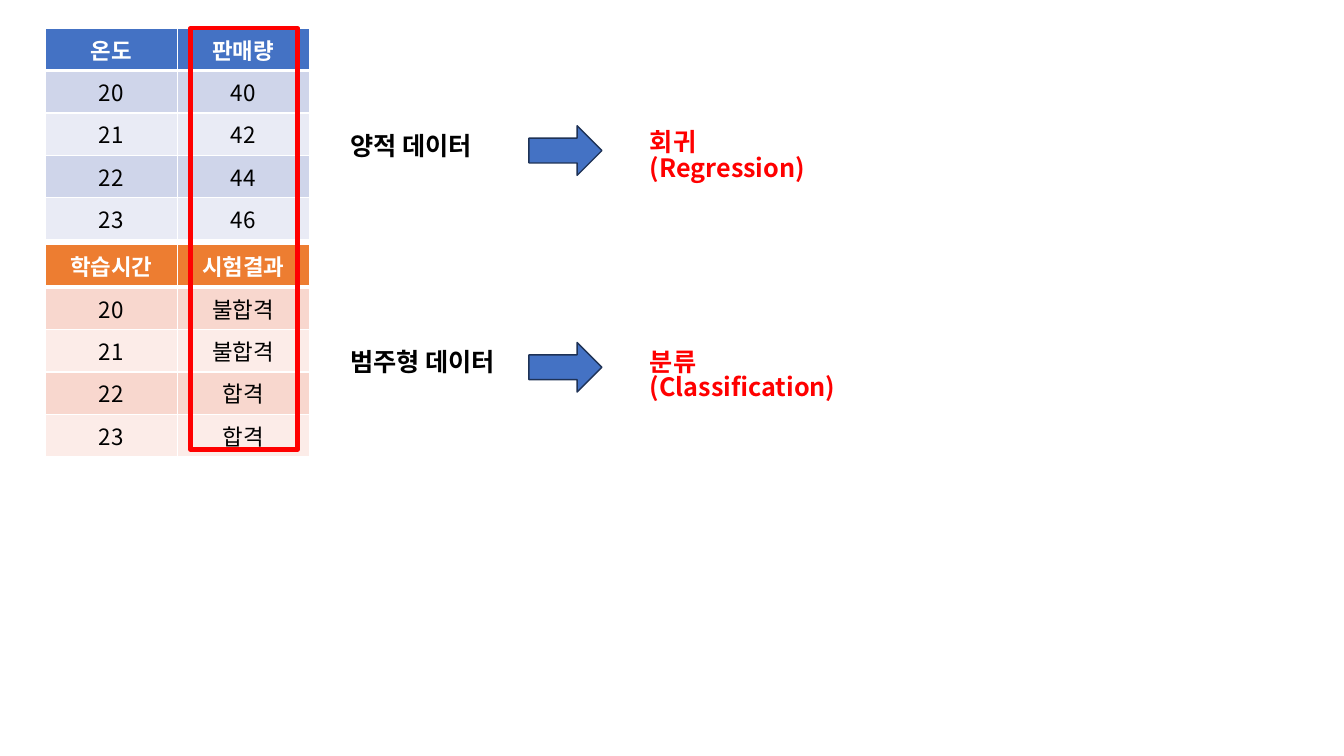
from pptx import Presentation
from pptx.dml.color import RGBColor
from pptx.enum.shapes import MSO_SHAPE as Shape
from pptx.enum.text import PP_ALIGN as Align
from pptx.oxml import parse_xml
from pptx.oxml.ns import nsdecls
from pptx.util import Cm, Pt

FONT = "Noto Sans CJK KR"
BLUE, RED, WHITE, BLACK = "4472C4", "FF0000", "FFFFFF", "000000"
HEAD = {"size": Pt(16), "name": FONT, "bold": True}
BODY = {**HEAD, "bold": False}
LABEL = {**HEAD, "size": Pt(18)}
GROUPS = [
    {"top": 0.71, "rows": [("온도", "판매량"), (20, 40), (21, 42), (22, 44), (23, 46)],
     "fills": (BLUE, "CFD5EA", "E9EBF5"), "kind": "양적 데이터", "kind_y": 3.28,
     "arrow_y": 3.17, "task": "회귀\v(Regression)", "task_y": 3.2},
    {"top": 6.17, "rows": [("학습시간", "시험결과"), (20, "불합격"), (21, "불합격"),
                           (22, "합격"), (23, "합격")],
     "fills": ("ED7D31", "F8D7CE", "FCECE8"), "kind": "범주형 데이터", "kind_y": 8.74,
     "arrow_y": 8.63, "task": "분류\v(Classification)", "task_y": 8.74},
]


def tint(hue):
    """Turn a hex string into a colour."""
    return RGBColor.from_string(hue)


def style(run, form, hue):
    """Apply font values and a colour to a run."""
    for key, val in form.items():
        setattr(run.font, key, val)
    run.font.color.rgb = tint(hue)
    props = run._r.get_or_add_rPr()
    props.append(parse_xml(f'<a:ea {nsdecls("a")} typeface="{FONT}"/>'))


def edge(cell, base):
    """Draw white borders with the given bottom width."""
    props = cell._tc.get_or_add_tcPr()
    for spot, (side, width) in enumerate((("L", 1), ("R", 1), ("T", 1), ("B", base))):
        props.insert(spot, parse_xml(
            f'<a:ln{side} {nsdecls("a")} w="{Pt(width)}"><a:solidFill>'
            f'<a:srgbClr val="{WHITE}"/></a:solidFill></a:ln{side}>'))


def grid(slide, box, rows, fills):
    """Place a two-column table with a header and banded rows."""
    table = slide.shapes.add_table(len(rows), len(rows[0]), *map(Cm, box)).table
    for y, row in enumerate(rows):
        for x, word in enumerate(row):
            cell = table.cell(y, x)
            cell.fill.solid()
            cell.fill.fore_color.rgb = tint(fills[0] if y == 0 else fills[2 - y % 2])
            edge(cell, 1 if y else 3)
            para = cell.text_frame.paragraphs[0]
            para.alignment = Align.CENTER
            run = para.add_run()
            run.text = str(word)
            style(run, BODY if y else HEAD, BLACK if y else WHITE)


def label(slide, box, words, hue):
    """Place a bold label."""
    frame = slide.shapes.add_textbox(*map(Cm, box)).text_frame
    frame.word_wrap = True
    para = frame.paragraphs[0]
    para.line_spacing = 0.83
    para.text = words
    for run in para.runs:
        style(run, LABEL, hue)


def block(slide, box, kind, fill, line, width):
    """Place a preset shape with a fill or none."""
    shape = slide.shapes.add_shape(kind, *map(Cm, box))
    shape.shadow.inherit = False
    if fill:
        shape.fill.solid()
        shape.fill.fore_color.rgb = tint(fill)
    else:
        shape.fill.background()
    shape.line.color.rgb = tint(line)
    shape.line.width = Pt(width)


def chain(slide, left, group):
    """Lead from a data kind through an arrow to its task."""
    label(slide, (left, group["kind_y"], 4.6, 1.03), group["kind"], BLACK)
    block(slide, (left + 4.75, group["arrow_y"], 1.84, 1.25),
          Shape.RIGHT_ARROW, BLUE, "1E3256", 1)
    label(slide, (left + 7.55, group["task_y"], 6.24, 1.79), group["task"], RED)


def main():
    """Build the slide and save it."""
    deck = Presentation()
    deck.slide_width, deck.slide_height = Cm(33.87), Cm(19.05)
    slide = deck.slides.add_slide(deck.slide_layouts[6])
    for group in GROUPS:
        grid(slide, (1.14, group["top"], 6.65, 5.15), group["rows"], group["fills"])
    block(slide, (4.8, 0.71, 2.7, 10.62), Shape.RECTANGLE, None, RED, 3)
    for group in GROUPS:
        chain(slide, 8.58, group)
    deck.save("out.pptx")


if __name__ == "__main__":
    main()
